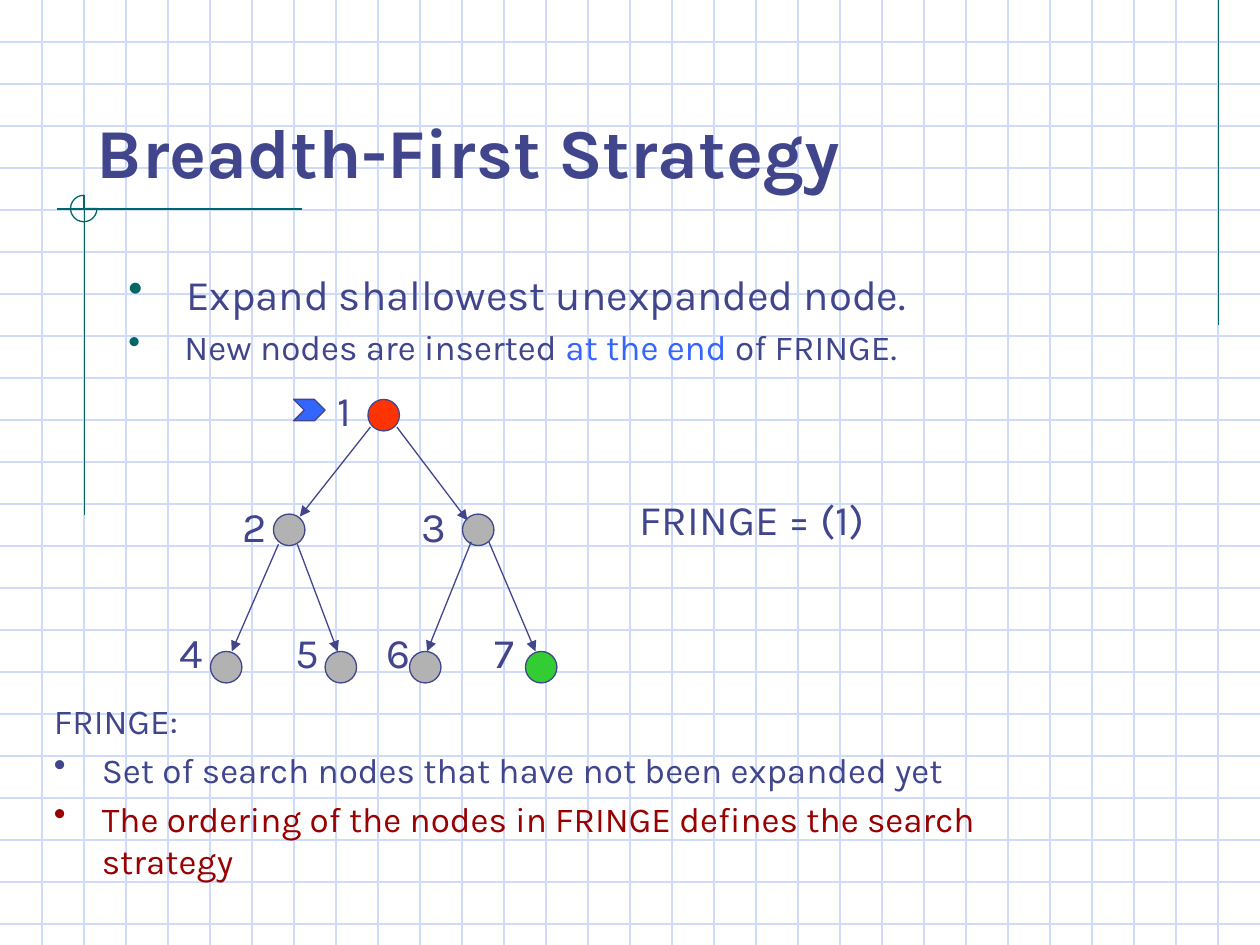
from lxml import etree
from pptx import Presentation
from pptx.dml.color import RGBColor
from pptx.enum.shapes import MSO_CONNECTOR, MSO_SHAPE
from pptx.enum.text import MSO_ANCHOR, PP_ALIGN
from pptx.oxml.ns import qn
from pptx.util import Inches, Pt

STRAIGHT = MSO_CONNECTOR.STRAIGHT
ELLIPSE, CHEVRON, PIE = MSO_SHAPE.OVAL, MSO_SHAPE.CHEVRON, MSO_SHAPE.PIE
BOTTOM, JUSTIFY = MSO_ANCHOR.BOTTOM, PP_ALIGN.JUSTIFY

FONT = "Karla"
INK = RGBColor(0x40, 0x45, 0x8C)
TEAL = RGBColor(0x00, 0x66, 0x66)
GRID = RGBColor(0xCF, 0xDB, 0xFD)
BLUE = RGBColor(0x33, 0x66, 0xFF)
GRAY = RGBColor(0xB2, 0xB2, 0xB2)
RED = RGBColor(0xFF, 0x33, 0x00)
GREEN = RGBColor(0x33, 0xCC, 0x33)
MAROON = RGBColor(0x99, 0x00, 0x00)

WIDTH, HEIGHT = 10, 7.5
NODE_SIZE = 0.25

# Label: node left, node top, fill, label left, label top
NODES = {
    "1": (2.92, 3.17, RED, 2.58, 3),
    "2": (2.17, 4.08, GRAY, 1.83, 3.92),
    "3": (3.67, 4.08, GRAY, 3.25, 3.92),
    "4": (1.67, 5.17, GRAY, 1.33, 4.92),
    "5": (2.58, 5.17, GRAY, 2.25, 4.92),
    "6": (3.25, 5.17, GRAY, 2.97, 4.92),
    "7": (4.17, 5.17, GREEN, 3.83, 4.92),
}
# Start and end of each parent-to-child arrow
EDGES = [
    (2.94, 3.39, 2.38, 4.1),
    (3.15, 3.39, 3.71, 4.13),
    (2.21, 4.32, 1.84, 5.17),
    (2.36, 4.32, 2.68, 5.17),
    (3.74, 4.3, 3.39, 5.17),
    (3.88, 4.3, 4.25, 5.17),
]


def add_line(slide, x1, y1, x2, y2, color, arrow=False):
    line = slide.shapes.add_connector(
        STRAIGHT, Inches(x1), Inches(y1), Inches(x2), Inches(y2))
    line.line.color.rgb = color
    line.line.width = Pt(0.75)
    if arrow:
        etree.SubElement(line.line._get_or_add_ln(), qn("a:tailEnd"), type="triangle")
    etree.SubElement(line._element.spPr, qn("a:effectLst"))


def add_figure(slide, preset, left, top, width, height, outline, fill=None):
    figure = slide.shapes.add_shape(
        preset, Inches(left), Inches(top), Inches(width), Inches(height))
    figure.shadow.inherit = False
    figure.line.color.rgb = outline
    figure.line.width = Pt(0.75)
    if fill is None:
        figure.fill.background()
    else:
        figure.fill.solid()
        figure.fill.fore_color.rgb = fill


def add_text_frame(slide, left, top, width, height):
    frame = slide.shapes.add_textbox(
        Inches(left), Inches(top), Inches(width), Inches(height)).text_frame
    frame.word_wrap = True
    return frame


def write(paragraph, text, size, color=INK, bold=False):
    paragraph.text = text
    font = paragraph.font
    font.name, font.size, font.bold = FONT, Pt(size), bold
    font.color.rgb = color


def set_indent(paragraph, bullet_color=None):
    properties = paragraph._p.get_or_add_pPr()
    properties.set("marL", str(Inches(0.38)))
    properties.set("indent", str(Inches(-0.38)))
    if bullet_color is not None:
        color = etree.Element(qn("a:buClr"))
        etree.SubElement(color, qn("a:srgbClr"), val=str(bullet_color))
        bullet = etree.Element(qn("a:buChar"), char="•")
        # Bullet settings go before the default run properties
        defaults = properties.find(qn("a:defRPr"))
        defaults.addprevious(color)
        defaults.addprevious(bullet)


def add_label(slide, text, left, top, width):
    frame = add_text_frame(slide, left, top, width, 0.5)
    write(frame.paragraphs[0], text, 24)


def add_background(slide):
    # Squared paper, three squares to the inch
    for row in range(1, int(HEIGHT * 3) + 1):
        add_line(slide, 0, row / 3, WIDTH, row / 3, GRID)
    for column in range(1, WIDTH * 3):
        add_line(slide, column / 3, 0, column / 3, HEIGHT, GRID)
    # Teal rules with the ring at their crossing
    add_line(slide, 9.67, 0, 9.67, 2.58, TEAL)
    add_line(slide, 2.4, 1.66, 0.45, 1.66, TEAL)
    add_line(slide, 0.67, 1.55, 0.67, 4.09, TEAL)
    add_figure(slide, PIE, 0.56, 1.55, 0.21, 0.21, TEAL)


def add_title(slide):
    frame = add_text_frame(slide, 0.67, 0.33, 8.5, 1.25)
    frame.vertical_anchor = BOTTOM
    write(frame.paragraphs[0], "Breadth-First Strategy", 40, bold=True)


def add_strategy(slide):
    frame = add_text_frame(slide, 0.92, 2.08, 8.5, 4.5)
    rule = frame.paragraphs[0]
    write(rule, " Expand shallowest unexpanded node.", 24)
    insertion = frame.add_paragraph()
    write(insertion, " New nodes are inserted ", 20)
    emphasis = insertion.add_run()
    emphasis.text = "at the end"
    emphasis.font.color.rgb = BLUE
    insertion.add_run().text = " of FRINGE."
    insertion.space_before = Pt(4)
    for paragraph in (rule, insertion):
        paragraph.alignment = JUSTIFY
        set_indent(paragraph, TEAL)


def add_tree(slide):
    for label, (left, top, fill, label_left, label_top) in NODES.items():
        add_figure(slide, ELLIPSE, left, top, NODE_SIZE, NODE_SIZE, INK, fill)
        add_label(slide, label, label_left, label_top, 0.38)
    for edge in EDGES:
        add_line(slide, *edge, INK, arrow=True)
    # Marker of the current node and the state of the fringe
    add_figure(slide, CHEVRON, 2.33, 3.17, 0.25, 0.17, INK, BLUE)
    add_label(slide, "FRINGE = (1)", 4.98, 3.87, 2.23)


def add_definition(slide):
    frame = add_text_frame(slide, 0.33, 5.5, 8.58, 1.83)
    heading = frame.paragraphs[0]
    write(heading, "FRINGE:", 20)
    set_indent(heading)
    for text, color in (
        ("Set of search nodes that have not been expanded yet", INK),
        ("The ordering of the nodes in FRINGE defines the search strategy", MAROON),
    ):
        point = frame.add_paragraph()
        write(point, text, 20, color)
        point.space_before = Pt(4)
        set_indent(point, color)


def main():
    presentation = Presentation()
    presentation.slide_width = Inches(WIDTH)
    presentation.slide_height = Inches(HEIGHT)
    slide = presentation.slides.add_slide(presentation.slide_layouts[6])
    add_background(slide)
    add_title(slide)
    add_strategy(slide)
    add_tree(slide)
    add_definition(slide)
    presentation.save("out.pptx")


if __name__ == "__main__":
    main()
